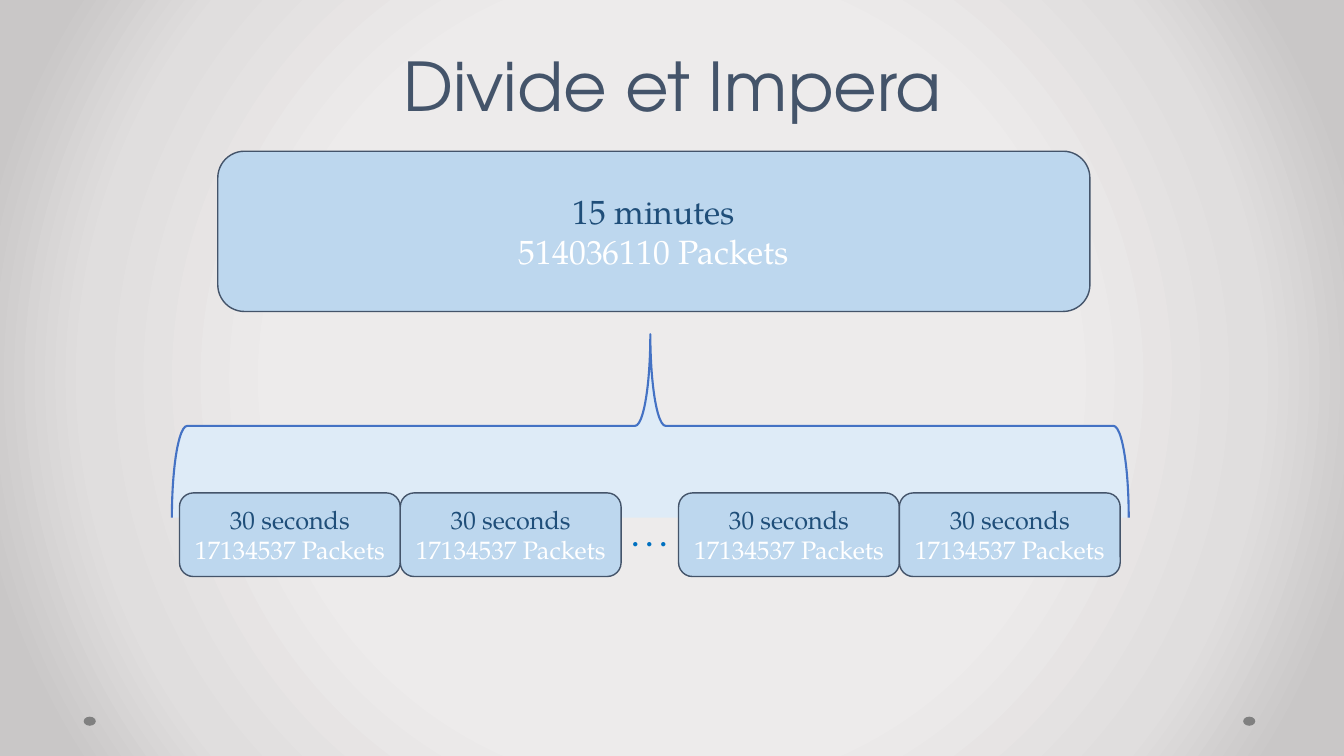
from pptx import Presentation
from pptx import oxml
from pptx import util as u
from pptx.dml.color import RGBColor
from pptx.enum import shapes, text

SERIF = "TeX Gyre Pagella"
SANS = "TeX Gyre Adventor"
KIND = shapes.MSO_SHAPE
STOPS = ((50, "EDEBEB"), (76, "E0DEDE"), (92, "C9C7C7"))


def tint(code):
    return RGBColor.from_string(code)


def place(*box):
    return [u.Inches(n) for n in box]


def backdrop(slide):
    stops = "".join(
        f'<a:gs pos="{at * 1000}"><a:srgbClr val="{code}"/></a:gs>'
        for at, code in STOPS)
    glow = oxml.parse_xml(
        '<p:bg xmlns:p="http://schemas.openxmlformats.org/presentationml/2006/main" '
        'xmlns:a="http://schemas.openxmlformats.org/drawingml/2006/main">'
        f'<p:bgPr><a:gradFill rotWithShape="1"><a:gsLst>{stops}</a:gsLst>'
        '<a:path path="circle"><a:fillToRect l="50000" t="50000" r="50000" b="50000"/>'
        '</a:path></a:gradFill><a:effectLst/></p:bgPr></p:bg>')
    slide.element.cSld.insert(0, glow)


def write(shape, lines, size, font=SERIF, bold=False, anchor="MIDDLE",
          align="CENTER", wrap=True, space=None):
    frame = shape.text_frame
    frame.word_wrap = wrap
    frame.vertical_anchor = text.MSO_ANCHOR[anchor]
    for i, (words, code) in enumerate(lines):
        para = frame.add_paragraph() if i else frame.paragraphs[0]
        para.alignment = text.PP_ALIGN[align]
        para.line_spacing = space
        run = para.add_run()
        run.text = words
        run.font.color.rgb = tint(code)
        style = {"size": u.Pt(size), "name": font, "bold": bold}
        for key, value in style.items():
            setattr(run.font, key, value)


def draw(slide, kind, box, fill, line=None, width=1):
    shape = slide.shapes.add_shape(kind, *place(*box))
    shape.shadow.inherit = False
    shape.fill.solid()
    shape.fill.fore_color.rgb = tint(fill)
    if line:
        shape.line.color.rgb = tint(line)
        shape.line.width = u.Pt(width)
    else:
        shape.line.fill.background()
    return shape


def label(slide, box, words, code, size, **style):
    write(slide.shapes.add_textbox(*place(*box)), [(words, code)], size, **style)


def chunk(slide, box, span, count, size):
    shape = draw(slide, KIND.ROUNDED_RECTANGLE, box, "BDD7EE", "44546A")
    write(shape, [(span, "1F4E79"), (f"{count} Packets", "FFFFFF")], size)


def main():
    deck = Presentation()
    deck.slide_width, deck.slide_height = place(13.33, 7.5)
    slide = deck.slides.add_slide(deck.slide_layouts[6])
    backdrop(slide)
    for left in (12.33, 0.83):
        draw(slide, KIND.OVAL, (left, 7.11, 0.12, 0.09), "808080")
    label(slide, (0.67, 0.01, 12, 1.28), "Divide et Impera", "44546A", 48,
          font=SANS, anchor="BOTTOM", space=u.Pt(48))
    chunk(slide, (2.16, 1.5, 8.65, 1.59), "15 minutes", 514036110, 24)
    brace = draw(slide, KIND.LEFT_BRACE, (5.54, -0.52, 1.82, 9.49),
                 "DEEBF7", "4472C4", 1.5)
    brace.rotation = 90
    wide = 2.19
    for start in (1.78, 6.73):
        for i in range(2):
            chunk(slide, (start + i * wide, 4.89, wide, 0.83),
                  "30 seconds", 17134537, 18)
    label(slide, (6.17, 5.09, 0.56, 0.44), ". . .", "0070C0", 20,
          bold=True, anchor="TOP", align="LEFT", wrap=False)
    deck.save("out.pptx")


if __name__ == "__main__":
    main()
